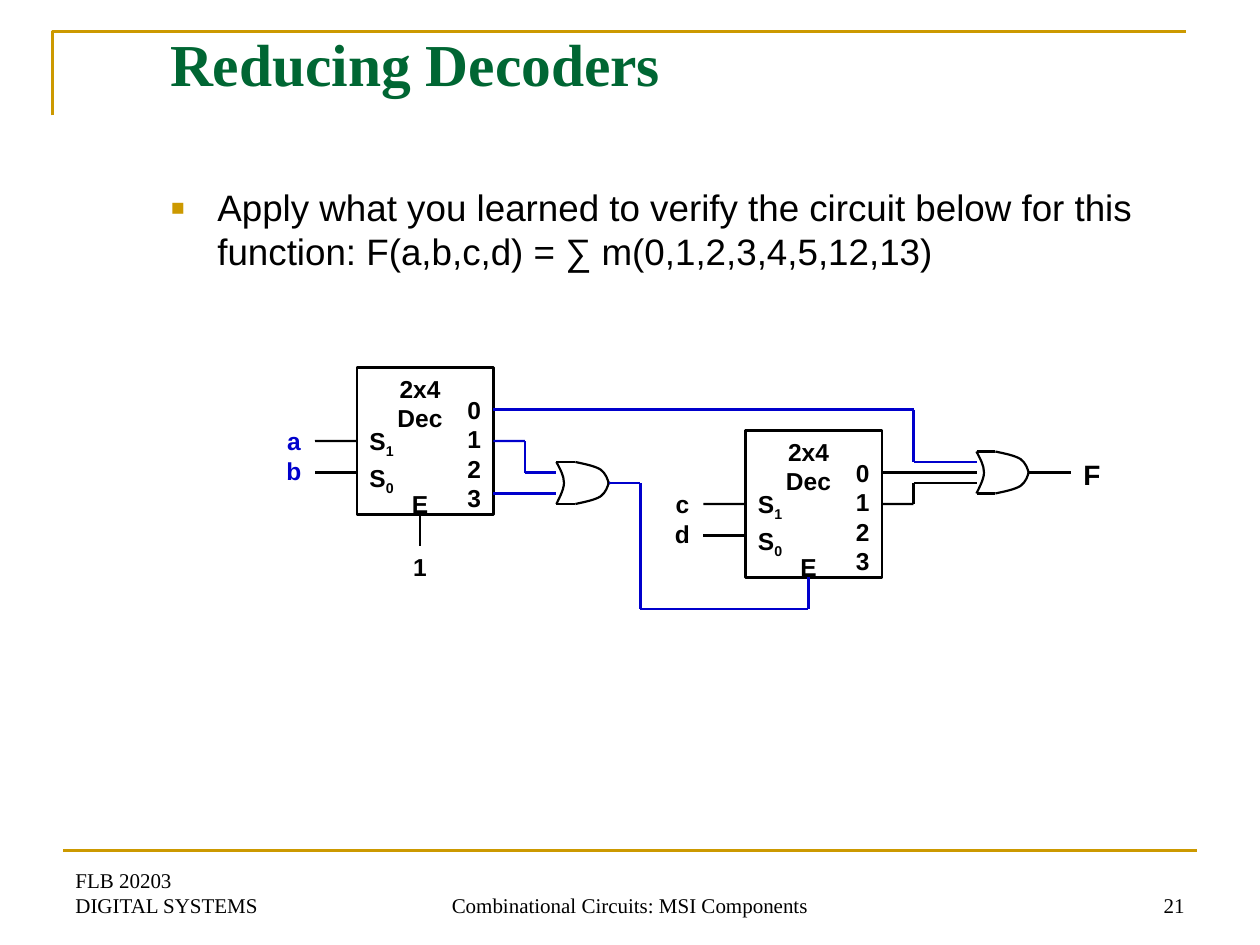
from itertools import pairwise
from pptx import Presentation
from pptx.dml.color import RGBColor
from pptx.enum.shapes import MSO_CONNECTOR as CONN, MSO_SHAPE as SHAPE
from pptx.enum.text import MSO_ANCHOR as ANCHOR, MSO_AUTO_SIZE as AUTO, PP_ALIGN as ALIGN
from pptx.oxml.ns import qn
from pptx.util import Inches, Pt
from lxml.etree import SubElement

COLORS = {"ink": "000000", "wire": "0000CC", "gold": "CC9900", "title": "006633"}
UNIT = 1 / 12
LEFT, RIGHT = 1, 3


def rgb(name):
    return RGBColor.from_string(COLORS[name])


def grid(*values):
    return [Inches(v * UNIT) for v in values]


def write(tf, text, size=14, font="Arial", color="ink", bold=False,
          align=ALIGN.LEFT, anchor=ANCHOR.TOP, gap=0):
    tf.word_wrap = True
    tf.auto_size = AUTO.NONE
    tf.vertical_anchor = anchor

    def add_run(p, part):
        r = p.add_run()
        r.text = part
        r.font.size, r.font.name, r.font.bold = Pt(size), font, bold
        r.font.color.rgb = rgb(color)
        return r

    for i, line in enumerate(text.split("\n")):
        p = tf.add_paragraph() if i else tf.paragraphs[0]
        p.alignment = align
        p.space_before = Pt(gap if i else 0)
        for j, row in enumerate(line.split("\v")):
            if j:
                p.add_line_break()
            main, _, sub = row.partition("_")
            add_run(p, main)
            if sub:
                add_run(p, sub)._r.get_or_add_rPr().set("baseline", "-25000")


class Board:
    def __init__(self, prs, line=1.25):
        self.s = prs.slides.add_slide(prs.slide_layouts[1])
        self.line = line

    def placeholder(self, sp, x, y, w, h, text, **fmt):
        sp.left, sp.top, sp.width, sp.height = grid(x, y, w, h)
        write(sp.text_frame, text, **fmt)

    def bullet(self, p, char="▪", indent=4.5):
        pPr = p._p.get_or_add_pPr()
        margin = grid(indent)[0]
        pPr.set("marL", str(margin))
        pPr.set("indent", str(-margin))
        clr = SubElement(pPr, qn("a:buClr"))
        SubElement(clr, qn("a:srgbClr")).set("val", COLORS["gold"])
        SubElement(pPr, qn("a:buSzPct")).set("val", "120000")
        SubElement(pPr, qn("a:buFont")).set("typeface", "Arial")
        SubElement(pPr, qn("a:buChar")).set("char", char)

    def label(self, x, y, w, h, text, **fmt):
        sp = self.s.shapes.add_textbox(*grid(x, y, w, h))
        write(sp.text_frame, text, **fmt)

    def stroke(self, sp, color, width):
        sp.shadow.inherit = False
        sp.fill.background()
        sp.line.color.rgb = rgb(color)
        sp.line.width = Pt(width)

    def wire(self, *pts, color="ink", width=None, begin=None, end=None):
        conns = []
        for a, b in pairwise(pts):
            c = self.s.shapes.add_connector(CONN.STRAIGHT, *grid(*a, *b))
            c.line.color.rgb = rgb(color)
            c.line.width = Pt(width or self.line)
            SubElement(c._element.spPr, qn("a:effectLst"))
            conns.append(c)
        if begin:
            conns[0].begin_connect(*begin)
        if end:
            conns[-1].end_connect(*end)

    def outline(self, pts, color="ink", width=None, curved=False):
        pts = [tuple(grid(*pt)) for pt in pts]
        fb = self.s.shapes.build_freeform(*pts[0])
        fb.add_line_segments(pts[1:], close=False)
        sp = fb.convert_to_shape()
        self.stroke(sp, color, width or self.line)
        if curved:
            self.bend(next(sp._element.iter(qn("a:path"))))

    def bend(self, track):
        segments = track.findall(qn("a:lnTo"))
        for i in range(0, len(segments), 3):
            cubic = SubElement(track, qn("a:cubicBezTo"))
            for segment in segments[i:i + 3]:
                cubic.append(segment[0])
                track.remove(segment)

    def decoder(self, x, y, inputs, color):
        sp = self.s.shapes.add_shape(SHAPE.RECTANGLE, *grid(x, y, 13, 14))
        self.stroke(sp, "ink", 1.5)
        self.label(x + 1, y, 10, 6.8, "2x4\nDec", bold=True, align=ALIGN.CENTER)
        self.label(x, y + 5, 5.6, 8, "S_1\nS_0", bold=True, gap=1.8)
        self.label(x + 8, y + 2, 5, 12.5, "0\n1\n2\n3", bold=True, align=ALIGN.RIGHT)
        self.label(x + 4, y + 11, 4, 4, "E", bold=True, align=ALIGN.CENTER)
        self.label(x - 8, y + 5, 4, 6.8, inputs, bold=True, color=color, align=ALIGN.CENTER)
        self.wire((x - 4, y + 7), (x, y + 7), end=(sp, LEFT))
        self.wire((x - 4, y + 10), (x, y + 10))
        return sp

    def or_gate(self, x, y):
        back = [(0, 0), (.36, .7), (.72, 1.3), (.72, 2), (.72, 2.7), (.12, 3.7), (0, 4)]
        nose = [(1.8, 0), (2.7, .2), (3.6, .36), (4.2, .72), (4.7, 1.1), (4.9, 1.65), (5, 2.15)]
        for curve in (back, nose, [(px, 4 - py) for px, py in nose]):
            self.outline([(x + px, y + py) for px, py in curve], curved=True)
        for edge in (y, y + 4):
            self.wire((x, edge), (x + 1.8, edge))


def main():
    prs = Presentation()
    prs.slide_width, prs.slide_height = Inches(10), Inches(7.5)
    board = Board(prs)

    board.outline([(5, 11), (5, 3), (113, 3)], color="gold", width=1.5)
    board.wire((6, 81), (114, 81), color="gold", width=1.5)
    footers = ((6, 28, "FLB 20203\vDIGITAL SYSTEMS", ALIGN.LEFT),
               (41, 38, "Combinational Circuits: MSI Components", ALIGN.CENTER),
               (86, 28, "21", ALIGN.RIGHT))
    for x, w, text, align in footers:
        board.label(x, 82, w, 6, text, size=12, font="Times New Roman",
                    align=align, anchor=ANCHOR.BOTTOM)

    title, body = board.s.placeholders
    board.placeholder(title, 15, 2, 102, 15, "Reducing Decoders", size=34,
                      font="Times New Roman", color="title", bold=True)
    board.placeholder(body, 15, 17, 102, 11,
                      "Apply what you learned to verify the circuit below for this "
                      "function: F(a,b,c,d) = ∑ m(0,1,2,3,4,5,12,13)", size=21)
    board.bullet(body.text_frame.paragraphs[0])

    first = board.decoder(34, 35, "a\nb", "wire")
    second = board.decoder(71, 41, "c\nd", "ink")
    board.or_gate(53, 44)
    board.or_gate(93, 43)

    board.wire((47, 39), (87, 39), (87, 44), (93, 44), color="wire")
    board.wire((47, 42), (50, 42), (50, 45), (53, 45), color="wire", begin=(first, RIGHT))
    board.wire((47, 47), (53, 47), color="wire")
    board.wire((58, 46), (61, 46), (61, 58), (77, 58), (77, 55), color="wire")
    board.wire((84, 45), (93, 45))
    board.wire((84, 48), (87, 48), (87, 46), (93, 46), begin=(second, RIGHT))
    board.wire((98, 45), (102, 45))
    board.wire((40, 49), (40, 52), width=0.75)
    board.label(37, 52, 6, 4, "1", bold=True, align=ALIGN.CENTER)
    board.label(102, 43, 4, 4.4, "F", size=16, bold=True)

    prs.save("out.pptx")


if __name__ == "__main__":
    main()
